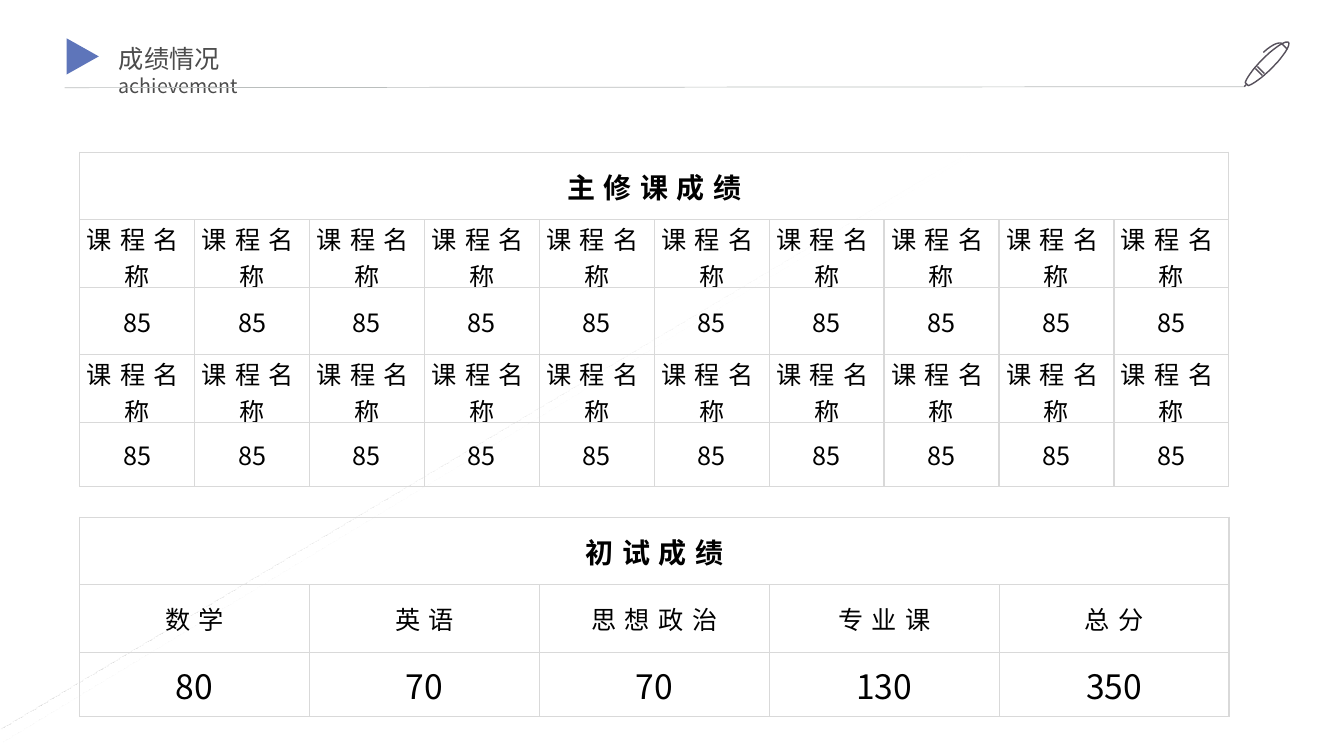
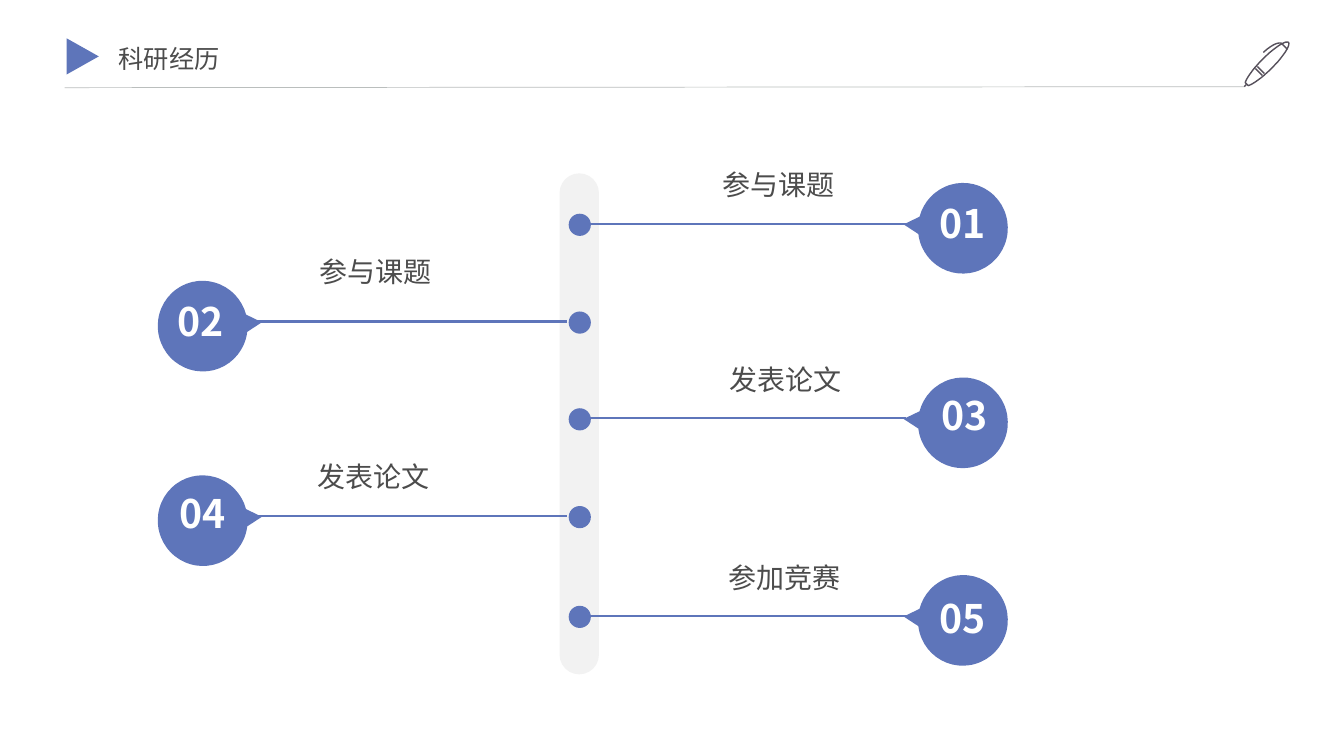
from lxml import etree
from pptx import Presentation
from pptx.dml.color import RGBColor
from pptx.enum.shapes import MSO_CONNECTOR, MSO_SHAPE
from pptx.enum.text import MSO_ANCHOR, PP_ALIGN
from pptx.oxml import parse_xml
from pptx.oxml.ns import qn
from pptx.util import Emu, Pt

PX = 9144
FINE = 10
FONT = "Noto Sans CJK SC"
BLUE, INK, BLACK, WHITE = "5E75BA", "4C4C4C", "000000", "FFFFFF"
GRID, RAIL, RULE, PEN = "D9D9D9", "F2F2F2", "BABEBD", "56505B"
CENTER, LEFT, MIDDLE = PP_ALIGN.CENTER, PP_ALIGN.LEFT, MSO_ANCHOR.MIDDLE
STRAIGHT = MSO_CONNECTOR.STRAIGHT
TRIANGLE, ELLIPSE = MSO_SHAPE.ISOSCELES_TRIANGLE, MSO_SHAPE.OVAL
PILL, CALLOUT = MSO_SHAPE.ROUNDED_RECTANGLE, MSO_SHAPE.OVAL_CALLOUT
DRAWING = "http://schemas.openxmlformats.org/drawingml/2006/main"

PEN_STROKES = [
    ([(1252, 75), (1245, 68)], False),
    ([(1247, 66), (1254, 73)], False),
    ([(1278, 42), (1275, 40), (1264, 47), (1252, 59),
      (1243, 68), (1236, 78), (1235, 82),
      (1236, 83), (1237, 84), (1238, 85),
      (1242, 84), (1252, 77), (1261, 68),
      (1273, 56), (1280, 45), (1278, 42)], True),
    ([(1236, 84), (1234, 86)], False),
    ([(1277, 49), (1277, 49), (1274, 46), (1271, 43),
      (1271, 43), (1266, 40), (1253, 52)], False),
]
SHEEN = [([(1047, 101), (0, 725), (0, 737), (1048, 103)], True)]
SHEEN_FILL = f"""<a:gradFill xmlns:a="{DRAWING}"><a:gsLst>
<a:gs pos="8000"><a:srgbClr val="{WHITE}"><a:alpha val="0"/></a:srgbClr></a:gs>
<a:gs pos="100000"><a:srgbClr val="{WHITE}"/></a:gs></a:gsLst>
<a:path path="circle"><a:fillToRect l="100000" b="100000"/></a:path></a:gradFill>"""


def px(length):
    """Turn a length in px into EMU."""
    return Emu(round(length * PX))


def rgb(value):
    """Turn a hex string into a colour."""
    return RGBColor.from_string(value)


def smooth_curve(points, steps=10):
    """Return the points along a chain of cubic curves."""
    curve = [points[0]]
    for start in range(0, len(points) - 1, 3):
        a, b, c, d = points[start:start + 4]
        for step in range(1, steps + 1):
            t = step / steps
            u = 1 - t
            curve.append(tuple(
                u**3 * a[k] + 3 * u * u * t * b[k] + 3 * u * t * t * c[k] + t**3 * d[k]
                for k in (0, 1)))
    return curve


class Deck:
    """Hold the shared style and draw on the current slide."""

    def __init__(self):
        """Start an empty deck."""
        self.prs = Presentation()
        self.prs.slide_width, self.prs.slide_height = px(1333), px(750)
        self.slide = None

    def new_slide(self):
        """Add a blank white slide."""
        self.slide = self.prs.slides.add_slide(self.prs.slide_layouts[6])
        self.slide.background.fill.solid()
        self.slide.background.fill.fore_color.rgb = rgb(WHITE)

    def style_run(self, run, size, color, bold=False, spacing=0):
        """Set the look of one run in both scripts."""
        font = run.font
        font.name, font.size, font.bold = FONT, Pt(size), bold
        font.color.rgb = rgb(color)
        properties = run._r.get_or_add_rPr()
        properties.set("spc", str(spacing * 100))
        etree.SubElement(properties, qn("a:ea")).set("typeface", FONT)

    def text(self, box, parts, color=INK, bold=False, align=CENTER, wrap=True, leading=None):
        """Add a text box made of (wording, size) parts."""
        frame = self.slide.shapes.add_textbox(*map(px, box)).text_frame
        frame.word_wrap = wrap
        paragraph = frame.paragraphs[0]
        paragraph.alignment = align
        if leading:
            paragraph.line_spacing = leading
        for wording, size in parts:
            run = paragraph.add_run()
            run.text = wording
            self.style_run(run, size, color, bold)

    def shape(self, kind, box, fill=BLUE, rotation=0, adjustments=()):
        """Add a filled preset shape without an outline."""
        shape = self.slide.shapes.add_shape(kind, *map(px, box))
        shape.shadow.inherit = False
        shape.fill.solid()
        shape.fill.fore_color.rgb = rgb(fill)
        shape.line.fill.background()
        shape.rotation = rotation
        for index, value in enumerate(adjustments):
            shape.adjustments[index] = value

    def line(self, start, end, color=BLUE, width=1.5):
        """Add a straight line."""
        line = self.slide.shapes.add_connector(STRAIGHT, *map(px, start + end))
        line.line.color.rgb = rgb(color)
        line.line.width = Pt(width)
        etree.SubElement(line._element.spPr, qn("a:effectLst"))

    def outline(self, strokes):
        """Add an unfilled freeform made of (points, closed) strokes."""
        builder = None
        for points, closed in strokes:
            fine = [(round(x * FINE), round(y * FINE)) for x, y in points]
            if builder is None:
                builder = self.slide.shapes.build_freeform(*fine[0], scale=PX / FINE)
            else:
                builder.move_to(*fine[0])
            builder.add_line_segments(fine[1:], close=closed)
        shape = builder.convert_to_shape()
        shape.shadow.inherit = False
        shape.fill.background()
        shape.line.fill.background()
        return shape

    def sheen(self):
        """Add the faint diagonal streak."""
        properties = self.outline(SHEEN)._element.spPr
        properties.replace(properties.find(qn("a:noFill")), parse_xml(SHEEN_FILL))

    def header(self, width, parts):
        """Add the title, rule, pen and marker."""
        self.text((108, 38, width, 40), parts, align=LEFT)
        self.line((64, 87), (1234, 86), RULE, 0.5)
        pen = self.outline([
            (smooth_curve(points) if len(points) > 2 else points, closed)
            for points, closed in PEN_STROKES])
        pen.line.color.rgb = rgb(PEN)
        pen.line.width = Pt(1)
        self.shape(TRIANGLE, (64, 40, 36, 32), rotation=90)

    def cell(self, cell, wording, size, bold, spacing):
        """Fill one table cell and draw its borders."""
        cell.margin_left = cell.margin_right = px(7)
        cell.margin_top, cell.margin_bottom = px(1), px(0)
        cell.vertical_anchor = MIDDLE
        cell.fill.background()
        properties = cell._tc.get_or_add_tcPr()
        for index, side in enumerate("LRTB"):
            properties.insert(index, parse_xml(
                f'<a:ln{side} xmlns:a="{DRAWING}" w="12700"><a:solidFill>'
                f'<a:srgbClr val="{GRID}"/></a:solidFill></a:ln{side}>'))
        if wording:
            cell.text_frame.text = wording
            paragraph = cell.text_frame.paragraphs[0]
            paragraph.alignment = CENTER
            self.style_run(paragraph.runs[0], size, BLACK, bold, spacing)

    def score_table(self, top, heading, rows, score_size):
        """Add a headed table of alternating subject and score rows."""
        count = len(rows[0])
        heights = [67] * len(rows) + [64]
        table = self.slide.shapes.add_table(
            len(heights), count, px(79), px(top), px(1140), px(sum(heights))).table
        table.first_row = table.horz_banding = False
        for column in table.columns:
            column.width = px(1140 // count)
        for row, height in zip(table.rows, heights):
            row.height = px(height)
        table.cell(0, 0).merge(table.cell(0, count - 1))
        for index, wordings in enumerate([[heading] + [""] * (count - 1)] + rows):
            is_score = index > 0 and index % 2 == 0
            size = 20 if index == 0 else score_size if is_score else 18
            for column, wording in enumerate(wordings):
                self.cell(table.cell(index, column), wording, size,
                          index == 0, 0 if is_score else 6)

    def milestone(self, number, on_right, top, label, label_at, number_at):
        """Add one timeline entry: dot, line, numbered callout and label."""
        self.shape(ELLIPSE, (564, top + 30, 22, 22))
        left, turn, lean = (910, 103.7, 0.113) if on_right else (156, 256.3, -0.113)
        self.shape(CALLOUT, (left, top, 90, 89), rotation=turn, adjustments=(lean, 0.652))
        start, end = (584, 899) if on_right else (562, 253)
        self.line((start, top + 40), (end, top + 40))
        self.text((*number_at, 99, 48), [(number, 28)], WHITE, True, leading=0.8)
        self.text((*label_at, 131, 44), [(label, 20)], wrap=False)


def main():
    """Build both slides and save the deck."""
    deck = Deck()

    deck.new_slide()
    deck.sheen()
    deck.header(239, [("成绩情况 ", 18), ("achievement", 14)])
    deck.score_table(513, "初试成绩", [
        ["数学", "英语", "思想政治", "专业课", "总分"],
        ["80", "70", "70", "130", "350"]], 24)
    deck.score_table(151, "主修课成绩", [["课程名称"] * 10, ["85"] * 10] * 2, 18)

    deck.new_slide()
    deck.header(127, [("科研经历", 18)])
    deck.shape(PILL, (555, 172, 39, 497), RAIL, adjustments=(0.5,))
    for milestone in [
        ("01", True, 182, "参与课题", (707, 161), (905, 202)),
        ("02", False, 279, "参与课题", (307, 248), (149, 299)),
        ("03", True, 375, "发表论文", (714, 355), (907, 392)),
        ("04", False, 472, "发表论文", (305, 451), (151, 489)),
        ("05", True, 571, "参加竞赛", (713, 551), (905, 594)),
    ]:
        deck.milestone(*milestone)

    deck.prs.save("out.pptx")


if __name__ == "__main__":
    main()
